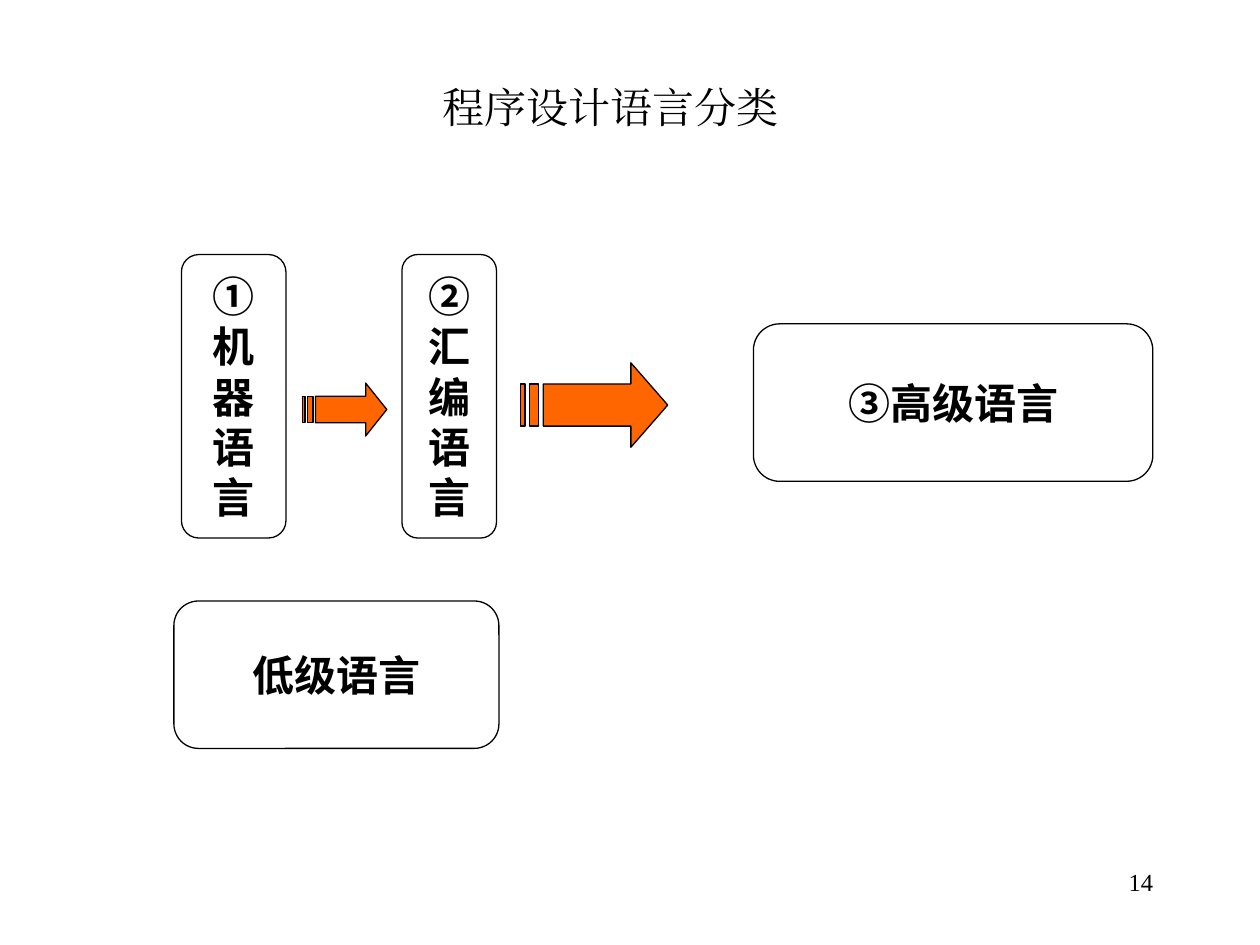
from pptx import Presentation
from pptx.dml.color import RGBColor
from pptx.enum.shapes import MSO_SHAPE
from pptx.enum.text import MSO_ANCHOR, MSO_AUTO_SIZE, PP_ALIGN
from pptx.oxml.ns import qn
from pptx.util import Inches, Pt
from lxml import etree

BLACK = "000000"
ORANGE = "FF6600"
CIRCLED_NUMBERS = "①②③"


def color(hex_code):
    return RGBColor.from_string(hex_code)


def set_typeface(font, name):
    """Use one typeface for both Latin and East Asian characters."""
    font.name = name
    etree.SubElement(font._rPr, qn("a:ea")).set("typeface", name)


def style_paragraph(paragraph, size, align, bold=False):
    paragraph.alignment = align
    paragraph.font.size = Pt(size)
    paragraph.font.bold = bold
    paragraph.font.color.rgb = color(BLACK)


def set_outline(shape):
    shape.shadow.inherit = False
    shape.line.color.rgb = color(BLACK)
    shape.line.width = Pt(0.75)


def add_label(slide, text, left, top, width, height, size, align):
    label = slide.shapes.add_textbox(
        Inches(left), Inches(top), Inches(width), Inches(height))
    label.text_frame.word_wrap = True
    label.text_frame.text = text
    paragraph = label.text_frame.paragraphs[0]
    style_paragraph(paragraph, size, align)
    set_typeface(paragraph.font, "Times New Roman")
    return label


def add_language_box(slide, lines, left, top, width, height):
    box = slide.shapes.add_shape(
        MSO_SHAPE.ROUNDED_RECTANGLE,
        Inches(left), Inches(top), Inches(width), Inches(height))
    box.fill.background()
    set_outline(box)
    frame = box.text_frame
    frame.word_wrap = False
    frame.vertical_anchor = MSO_ANCHOR.MIDDLE
    for index, line in enumerate(lines):
        paragraph = frame.add_paragraph() if index else frame.paragraphs[0]
        style_paragraph(paragraph, 24, PP_ALIGN.CENTER, bold=True)
        name = line.lstrip(CIRCLED_NUMBERS)
        number = line[:len(line) - len(name)]
        for part, typeface in ((number, "Noto Sans CJK SC"), (name, "Arial")):
            if part:
                run = paragraph.add_run()
                run.text = part
                set_typeface(run.font, typeface)


def add_striped_arrow(slide, left, top, width, height):
    """Draw an arrow whose stripes scale with its width."""
    def place(x, y):
        return Inches(left + width * x / 32), Inches(top + height * y / 4)

    body = [(5, 1), (24, 1), (24, 0), (32, 2), (24, 4), (24, 3), (5, 3)]
    stripes = [[(a, 1), (b, 1), (b, 3), (a, 3)] for a, b in ((0, 1), (2, 4))]
    builder = slide.shapes.build_freeform(*place(*body[0]))
    builder.add_line_segments([place(*point) for point in body[1:]])
    for stripe in stripes:
        builder.move_to(*place(*stripe[0]))
        builder.add_line_segments([place(*point) for point in stripe[1:]])
    arrow = builder.convert_to_shape()
    arrow.fill.solid()
    arrow.fill.fore_color.rgb = color(ORANGE)
    set_outline(arrow)


def main():
    presentation = Presentation()
    presentation.slide_width = Inches(10)
    presentation.slide_height = Inches(7.5)
    slide = presentation.slides.add_slide(presentation.slide_layouts[6])

    title = add_label(slide, "程序设计语言分类", 3.11, 0.6, 3.47, 0.5,
                      24, PP_ALIGN.CENTER)
    title.text_frame.auto_size = MSO_AUTO_SIZE.SHAPE_TO_FIT_TEXT

    add_language_box(slide, ["低级语言"], 1.38, 4.77, 2.58, 1.17)
    add_language_box(slide, ["③高级语言"], 5.98, 2.57, 3.17, 1.25)
    add_striped_arrow(slide, 4.13, 2.88, 1.17, 0.67)
    add_language_box(slide, "①机器语言", 1.44, 2.02, 0.83, 2.25)
    add_language_box(slide, "②汇编语言", 3.19, 2.02, 0.75, 2.25)
    add_striped_arrow(slide, 2.4, 3.04, 0.67, 0.42)

    add_label(slide, "14", 7.17, 6.83, 2.08, 0.5, 14, PP_ALIGN.RIGHT)
    presentation.save("out.pptx")


if __name__ == "__main__":
    main()
